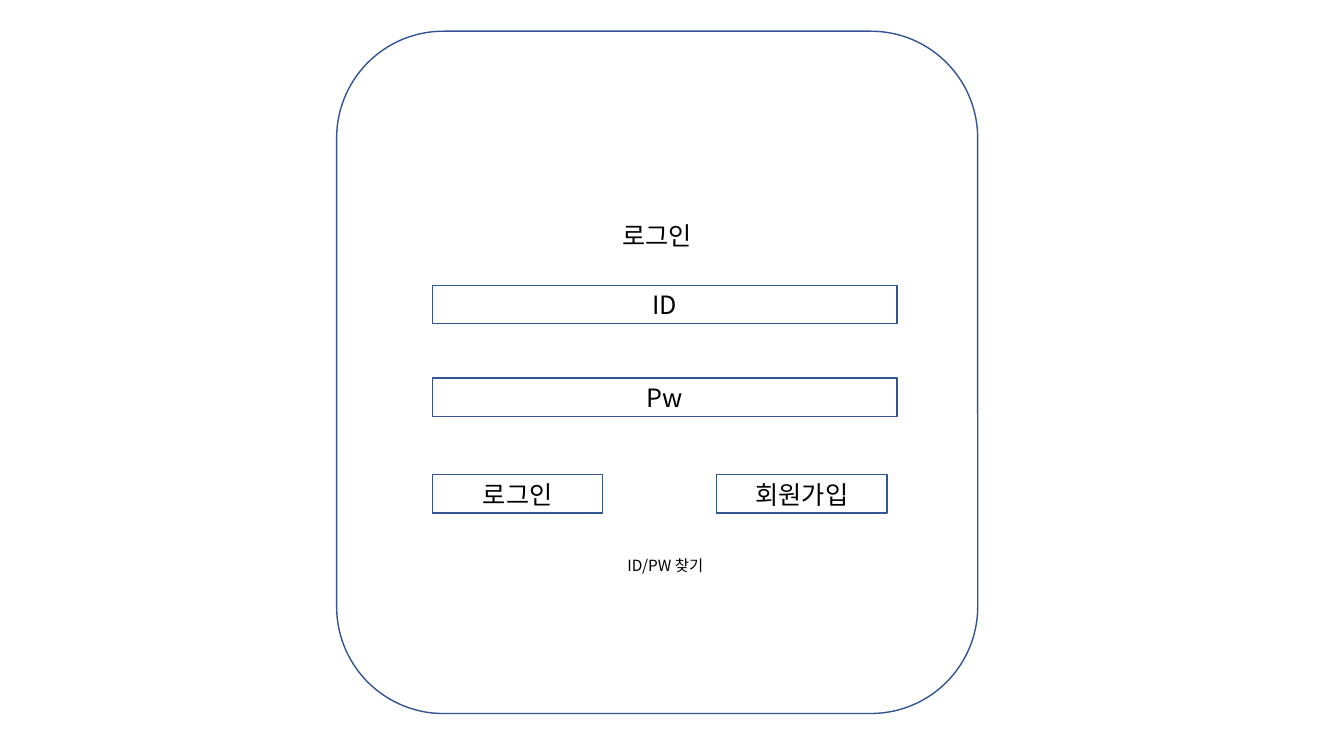
from dataclasses import dataclass

import lxml.etree
import pptx
import pptx.dml.color
import pptx.enum.shapes
import pptx.enum.text
import pptx.oxml.ns
import pptx.util

Pt = pptx.util.Pt
RGBColor = pptx.dml.color.RGBColor
ShapeKind = pptx.enum.shapes.MSO_SHAPE


@dataclass(frozen=True)
class Theme:
    font: str = "Noto Sans CJK KR"
    text: RGBColor = RGBColor(0x00, 0x00, 0x00)
    outline: RGBColor = RGBColor(0x32, 0x54, 0x91)
    background: RGBColor = RGBColor(0xFF, 0xFF, 0xFF)
    line_width: float = 1
    body_size: float = 18
    small_size: float = 11


THEME = Theme()


@dataclass(frozen=True)
class Box:
    left: float
    top: float
    width: float
    height: float
    text: str = ""
    size: float = THEME.body_size
    outline: RGBColor = THEME.outline
    kind: ShapeKind = ShapeKind.RECTANGLE


PANEL = Box(240.5, 22.3, 457.9, 487.4, kind=ShapeKind.ROUNDED_RECTANGLE)
HEADING = Box(PANEL.left, 153.5, PANEL.width, 30, "로그인")

FORM_LEFT = 308.9
FIELD_WIDTH = 331.9
BUTTON_WIDTH = 121.7
ROW_HEIGHT = 27.4
BUTTON_TOP = 339.1

CONTROLS = [
    Box(FORM_LEFT, 203.8, FIELD_WIDTH, ROW_HEIGHT, "ID"),
    Box(FORM_LEFT, 270, FIELD_WIDTH, ROW_HEIGHT, "Pw"),
    Box(FORM_LEFT, BUTTON_TOP, BUTTON_WIDTH, ROW_HEIGHT, "로그인"),
    Box(511.9, BUTTON_TOP, BUTTON_WIDTH, ROW_HEIGHT, "회원가입"),
    Box(414.4, 390.2, BUTTON_WIDTH, ROW_HEIGHT, "ID/PW 찾기",
        THEME.small_size, THEME.background),
]


def write_centred(text_frame, text: str, size: float) -> None:
    text_frame.text = text
    text_frame.word_wrap = True
    text_frame.auto_size = pptx.enum.text.MSO_AUTO_SIZE.NONE
    text_frame.vertical_anchor = pptx.enum.text.MSO_ANCHOR.MIDDLE
    paragraph = text_frame.paragraphs[0]
    paragraph.alignment = pptx.enum.text.PP_ALIGN.CENTER
    for run in paragraph.runs:
        run.font.name = THEME.font
        run.font.size = Pt(size)
        run.font.color.rgb = THEME.text
        # Hangul takes its typeface from the East Asian font slot.
        east_asian = lxml.etree.SubElement(
            run.font._element, pptx.oxml.ns.qn("a:ea"))
        east_asian.set("typeface", THEME.font)


def place_title(slide, box: Box) -> None:
    title = slide.shapes.title
    title.left, title.top = Pt(box.left), Pt(box.top)
    title.width, title.height = Pt(box.width), Pt(box.height)
    write_centred(title.text_frame, box.text, box.size)


def draw_box(slide, box: Box) -> None:
    shape = slide.shapes.add_shape(
        box.kind, Pt(box.left), Pt(box.top), Pt(box.width), Pt(box.height))
    shape.shadow.inherit = False
    shape.fill.background()
    shape.line.color.rgb = box.outline
    shape.line.width = Pt(THEME.line_width)
    if box.text:
        write_centred(shape.text_frame, box.text, box.size)


def main() -> None:
    presentation = pptx.Presentation()
    presentation.slide_width = Pt(960)
    presentation.slide_height = Pt(540)
    title_only = presentation.slide_layouts.get_by_name("Title Only")
    slide = presentation.slides.add_slide(title_only)
    place_title(slide, HEADING)
    for box in [PANEL, *CONTROLS]:
        draw_box(slide, box)
    presentation.save("out.pptx")


if __name__ == "__main__":
    main()
